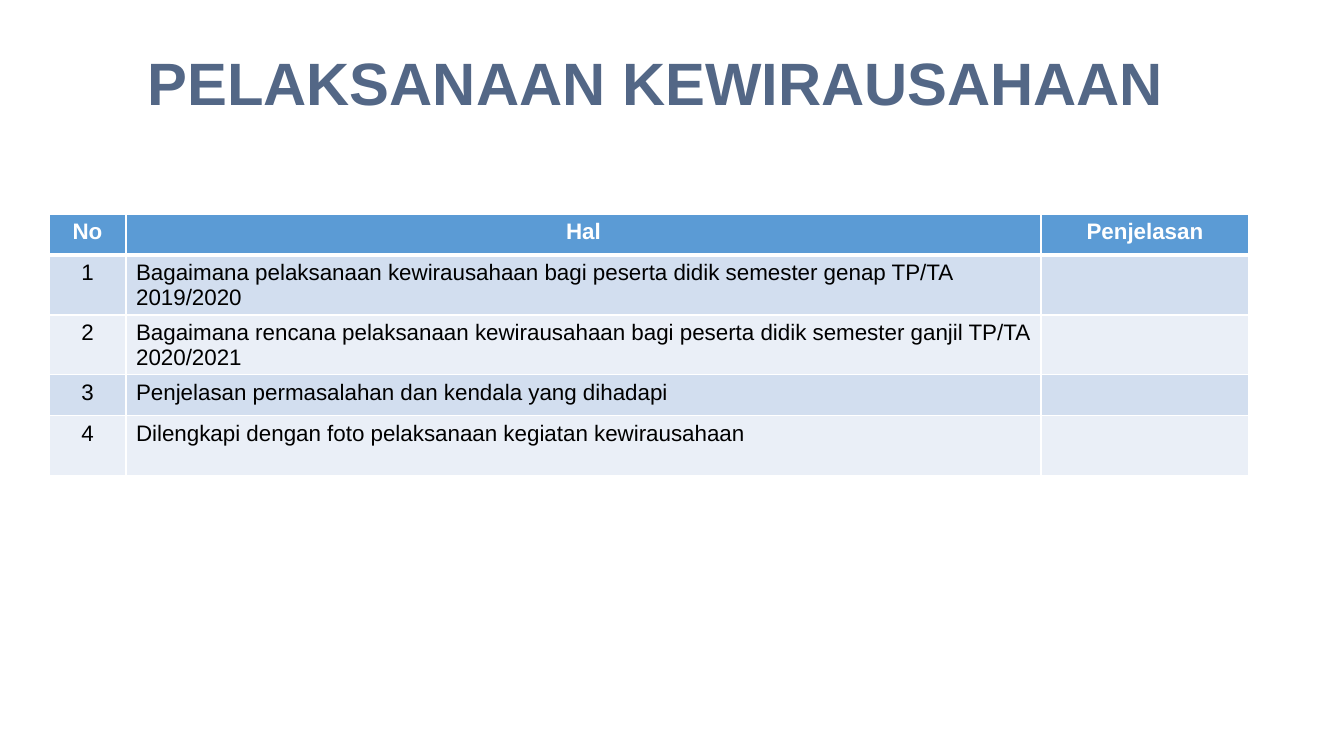
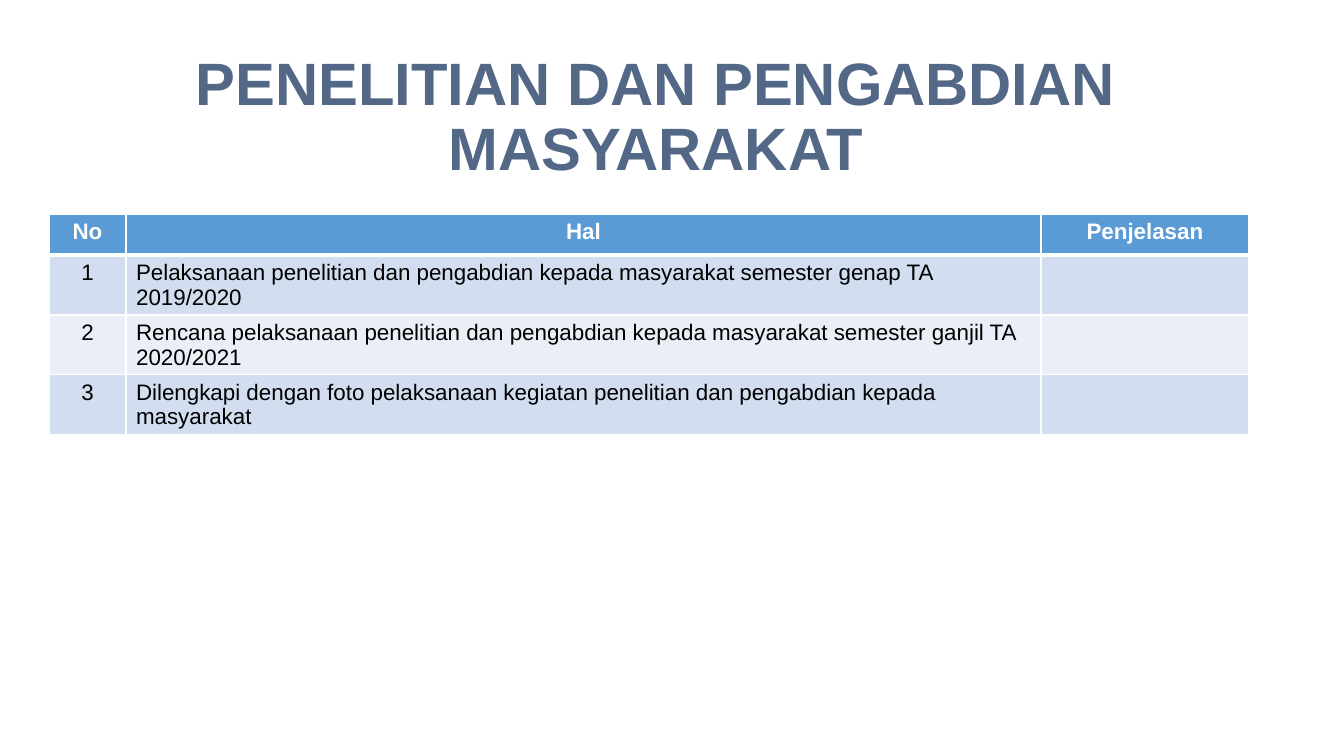
from lxml.etree import SubElement
from pptx import Presentation
from pptx.dml.color import RGBColor
from pptx.enum.text import MSO_ANCHOR, MSO_AUTO_SIZE, PP_ALIGN
from pptx.oxml.ns import qn
from pptx.util import Emu, Pt

# Shared style
EMU_PER_PX = 914400 / 100.8
FONT = "Arial"
SLATE = RGBColor(0x53, 0x67, 0x86)
BLUE = RGBColor(0x5B, 0x9B, 0xD5)
BAND_DARK = RGBColor(0xD2, 0xDE, 0xEF)
BAND_LIGHT = RGBColor(0xEA, 0xEF, 0xF7)
WHITE = RGBColor(0xFF, 0xFF, 0xFF)
BLACK = RGBColor(0x00, 0x00, 0x00)

HEADINGS = ("No", "Hal", "Penjelasan")
COLUMN_WIDTHS = (77, 915, 208)
SHORT_ROW, TALL_ROW = 41, 60


def px(length):
    return Emu(round(length * EMU_PER_PX))


def write(frame, text, *, size, color, bold=False, align=PP_ALIGN.LEFT, spacing=None):
    """Fill a text frame with one formatted paragraph."""
    frame.text = text
    paragraph = frame.paragraphs[0]
    paragraph.alignment = align
    paragraph.line_spacing = spacing
    # The paragraph font also sets the height of empty cells
    for font in [paragraph.font] + [run.font for run in paragraph.runs]:
        font.name, font.size, font.bold = FONT, Pt(size), bold
        font.color.rgb = color


def set_borders(cell, top=1, bottom=1):
    """Draw white borders, widths in points; they must precede the fill."""
    properties = cell._tc.get_or_add_tcPr()
    sides = (("L", 1), ("R", 1), ("T", top), ("B", bottom))
    for position, (side, width) in enumerate(sides):
        line = SubElement(properties, qn(f"a:ln{side}"), w=str(Pt(width)))
        fill = SubElement(line, qn("a:solidFill"))
        SubElement(fill, qn("a:srgbClr"), val=str(WHITE))
        properties.insert(position, line)


class Deck:
    def __init__(self):
        self.presentation = Presentation()
        self.presentation.slide_width = px(1344)
        self.presentation.slide_height = px(756)
        self.slide = None

    def add_slide(self, heading):
        layout = self.presentation.slide_layouts[5]
        self.slide = self.presentation.slides.add_slide(layout)
        title = self.slide.shapes.title
        title.left, title.top, title.width, title.height = map(px, (47, 47, 1218, 94))
        frame = title.text_frame
        frame.margin_left = frame.margin_right = px(13)
        frame.margin_top = frame.margin_bottom = px(7)
        frame.vertical_anchor = MSO_ANCHOR.TOP
        frame.auto_size = MSO_AUTO_SIZE.NONE
        frame.word_wrap = True
        write(frame, heading, size=42.7, color=SLATE, bold=True,
              align=PP_ALIGN.CENTER, spacing=0.9)

    def add_topics(self, topics):
        """Add the numbered table; topics are (text, row height) pairs."""
        heights = [SHORT_ROW] + [height for _, height in topics]
        rows = [HEADINGS] + [(str(number), topic, "")
                             for number, (topic, _) in enumerate(topics, 1)]
        table = self.slide.shapes.add_table(
            len(rows), len(HEADINGS), px(49), px(214),
            px(sum(COLUMN_WIDTHS)), px(sum(heights))).table
        for column, width in zip(table.columns, COLUMN_WIDTHS):
            column.width = px(width)
        for row, height in zip(table.rows, heights):
            row.height = px(height)
        for row_index, values in enumerate(rows):
            for column_index, value in enumerate(values):
                self.format_cell(table.cell(row_index, column_index), value,
                                 row_index, column_index)

    def format_cell(self, cell, value, row_index, column_index):
        is_header = row_index == 0
        centred = is_header or column_index == 0
        write(cell.text_frame, value, size=16, bold=is_header,
              color=WHITE if is_header else BLACK,
              align=PP_ALIGN.CENTER if centred else PP_ALIGN.LEFT)
        band = BAND_DARK if row_index % 2 else BAND_LIGHT
        cell.fill.solid()
        cell.fill.fore_color.rgb = BLUE if is_header else band
        set_borders(cell, top=3 if row_index == 1 else 1,
                    bottom=3 if is_header else 1)


def main():
    deck = Deck()

    # Entrepreneurship
    deck.add_slide("PELAKSANAAN KEWIRAUSAHAAN")
    deck.add_topics([
        ("Bagaimana pelaksanaan kewirausahaan bagi peserta didik "
         "semester genap TP/TA 2019/2020", TALL_ROW),
        ("Bagaimana rencana pelaksanaan kewirausahaan bagi peserta didik "
         "semester ganjil TP/TA 2020/2021", TALL_ROW),
        ("Penjelasan permasalahan dan kendala yang dihadapi", SHORT_ROW),
        ("Dilengkapi dengan foto pelaksanaan kegiatan kewirausahaan", TALL_ROW),
    ])

    # Research and community service
    deck.add_slide("PENELITIAN DAN PENGABDIAN MASYARAKAT")
    deck.add_topics([
        ("Pelaksanaan penelitian dan pengabdian kepada masyarakat "
         "semester genap TA 2019/2020", TALL_ROW),
        ("Rencana pelaksanaan penelitian dan pengabdian kepada masyarakat "
         "semester ganjil TA 2020/2021", TALL_ROW),
        ("Dilengkapi dengan foto pelaksanaan kegiatan penelitian dan "
         "pengabdian kepada masyarakat", TALL_ROW),
    ])

    deck.presentation.save("out.pptx")


if __name__ == "__main__":
    main()
